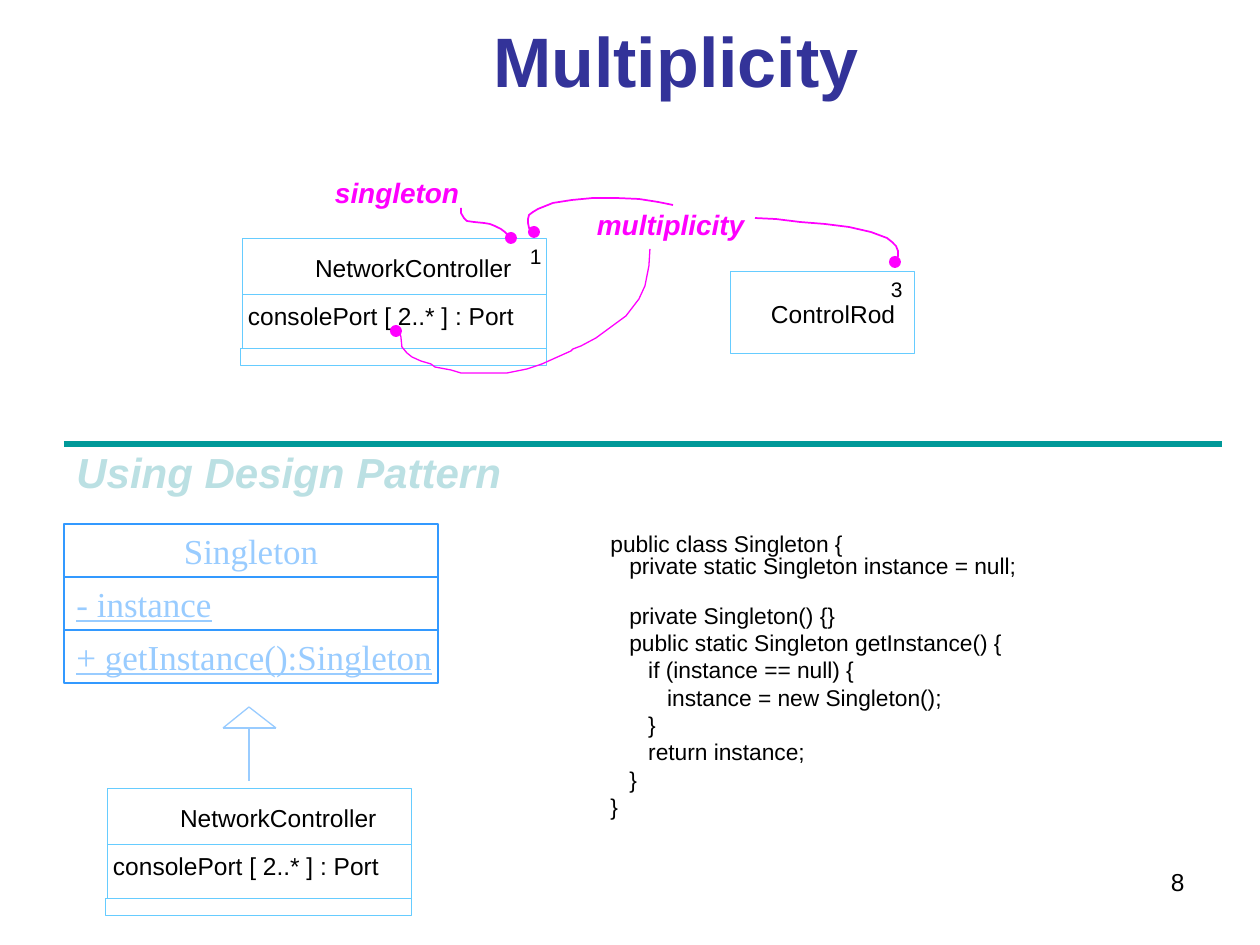
from lxml.etree import SubElement
from pptx import Presentation
from pptx.dml.color import RGBColor
from pptx.enum.shapes import MSO_CONNECTOR, MSO_SHAPE
from pptx.enum.text import MSO_ANCHOR, MSO_AUTO_SIZE, PP_ALIGN
from pptx.oxml.ns import qn
from pptx.util import Emu, Pt

SCALE = 914400 / 126
COLORS = {
    "text": "000000", "title": "333399", "box": "66CCFF", "white": "FFFFFF",
    "accent": "FF00FF", "pattern": "99CCFF", "pattern_line": "3399FF",
    "rule": "009999", "subtitle": "BBE0E3",
}
CODE = [
    ("public class Singleton {", 0.8, 0),
    ("   private static Singleton instance = null;", 0.8, 0),
    ("   private Singleton() {}", 0.8, 16),
    ("   public static Singleton getInstance() {", 1.0, 0),
    ("      if (instance == null) {", 1.0, 0),
    ("         instance = new Singleton();", 1.0, 0),
    ("      }", 1.0, 0),
    ("      return instance;", 1.0, 0),
    ("   }", 1.0, 0),
    ("}", 1.0, 0),
]
CALLOUTS = [
    ([(755, 218), (776, 219), (800, 222), (825, 224), (849, 227), (871, 232), (887, 238),
      (892, 242), (896, 246), (898, 251), (898, 256), (895, 262)], (895, 262), 1),
    ([(673, 205), (658, 202), (639, 199), (616, 198), (593, 198), (572, 200), (553, 203),
      (538, 209), (533, 212), (529, 215), (528, 219), (528, 223), (529, 228), (534, 232)],
     (534, 232), 1),
    ([(461, 208), (461, 213), (464, 218), (467, 221), (474, 222), (484, 223), (490, 224),
      (495, 226), (501, 229), (505, 232), (509, 236), (512, 238)], (511, 238), 1),
    ([(398, 326), (401, 337), (402, 347), (407, 353), (412, 357), (421, 361), (431, 364),
      (435, 367), (451, 370), (461, 373), (507, 373), (527, 369), (542, 364), (571, 351),
      (573, 349), (581, 346), (596, 338), (626, 316), (639, 299), (645, 286), (649, 266),
      (650, 249)], (396, 331), 0.75),
]


def px(n):
    return Emu(round(n * SCALE))


def rgb(name):
    return RGBColor.from_string(COLORS[name])


class Diagram:
    """Draws styled diagram elements on one slide."""

    def __init__(self, slide):
        self.slide = slide
        self.shapes = slide.shapes

    def format(self, tf, size, color="text", font="Arial", align=PP_ALIGN.LEFT,
               bold=False, italic=False, underline=False):
        for p in tf.paragraphs:
            p.alignment = align
            for r in p.runs:
                f = r.font
                f.size, f.name, f.bold, f.italic = Pt(size), font, bold, italic
                f.underline = underline
                f.color.rgb = rgb(color)

    def title(self, text, x, y, w, h):
        sp = self.shapes.title
        sp.left, sp.top, sp.width, sp.height = map(px, (x, y, w, h))
        tf = sp.text_frame
        tf.text = text
        tf.auto_size = MSO_AUTO_SIZE.NONE
        tf.vertical_anchor = MSO_ANCHOR.TOP
        tf.margin_top = px(6)
        tf.margin_bottom = 0
        self.format(tf, 40, "title", align=PP_ALIGN.CENTER, bold=True)

    def text(self, text, x, y, w, h, size, inset=False, wrap=False, **style):
        tf = self.shapes.add_textbox(*map(px, (x, y, w, h))).text_frame
        tf.text = text
        tf.word_wrap = wrap
        tf.auto_size = MSO_AUTO_SIZE.NONE if wrap else MSO_AUTO_SIZE.SHAPE_TO_FIT_TEXT
        if not inset:
            tf.margin_left = tf.margin_top = tf.margin_right = tf.margin_bottom = 0
        self.format(tf, size, **style)
        return tf

    def shape(self, x, y, w, h, fill=None, line=None, width=0.37, kind=MSO_SHAPE.RECTANGLE):
        sp = self.shapes.add_shape(kind, *map(px, (x, y, w, h)))
        self.paint(sp, fill, line, width)
        return sp

    def paint(self, sp, fill, line, width):
        sp.shadow.inherit = False
        if fill:
            sp.fill.solid()
            sp.fill.fore_color.rgb = rgb(fill)
        else:
            sp.fill.background()
        if line:
            sp.line.color.rgb = rgb(line)
            sp.line.width = Pt(width)
        else:
            sp.line.fill.background()

    def line(self, x1, y1, x2, y2, color, width):
        cn = self.shapes.add_connector(MSO_CONNECTOR.STRAIGHT, *map(px, (x1, y1, x2, y2)))
        cn.line.color.rgb = rgb(color)
        cn.line.width = Pt(width)
        SubElement(cn._element.spPr, qn("a:effectLst"))

    def callout(self, points, dot, width):
        fb = self.shapes.build_freeform(*points[0], scale=SCALE)
        fb.add_line_segments(points[1:], close=False)
        self.paint(fb.convert_to_shape(), None, "accent", width)
        x, y = dot
        self.shape(x - 6, y - 6, 12, 12, "accent", kind=MSO_SHAPE.OVAL)

    def controller(self, x, y):
        for dx, dy, w, h in [(-2, 110, 306, 17), (0, 56, 304, 54), (0, 0, 304, 56)]:
            self.shape(x + dx, y + dy, w, h, "white", "box")
        self.text("consolePort [ 2..* ] : Port", x + 6, y + 63, 290, 29, 14)
        self.text("NetworkController", x + 73, y + 15, 210, 29, 14)

    def pattern_row(self, text, y, **style):
        tf = self.shape(64, y, 374, 53, line="pattern_line", width=0.75).text_frame
        tf.text = text
        tf.word_wrap = False
        tf.vertical_anchor = MSO_ANCHOR.MIDDLE
        self.format(tf, 20, "pattern", "Times New Roman", **style)

    def code(self, lines, x, y, w, h):
        tf = self.text("\n".join(text for text, _, _ in lines), x, y, w, h, 13, inset=True)
        for p, (_, spacing, before) in zip(tf.paragraphs, lines):
            p.line_spacing = spacing
            p.space_before = Pt(before)


def main():
    prs = Presentation()
    prs.slide_width, prs.slide_height = px(1260), px(945)
    d = Diagram(prs.slides.add_slide(prs.slide_layouts[5]))

    d.title("Multiplicity", 130, 11, 1092, 90)
    d.controller(242, 238)
    d.text("1", 530, 244, 14, 25, 12)
    d.shape(730, 271, 184, 82, "white", "box")
    d.text("ControlRod", 771, 299, 135, 29, 14)
    d.text("3", 891, 277, 14, 25, 12)
    label = {"color": "accent", "bold": True, "italic": True}
    d.text("singleton", 335, 176, 135, 34, 16, **label)
    d.text("multiplicity", 597, 208, 165, 34, 16, **label)
    for points, dot, width in CALLOUTS:
        d.callout(points, dot, width)

    d.line(64, 444, 1222, 444, "rule", 3)
    d.text("Using Design Pattern", 64, 440, 464, 60, 24, inset=True, wrap=True,
           color="subtitle", bold=True, italic=True)
    d.pattern_row("Singleton", 524, align=PP_ALIGN.CENTER)
    d.pattern_row("- instance", 577, underline=True)
    d.pattern_row("+ getInstance():Singleton", 630, underline=True)
    for ends in [(249, 781, 249, 728), (223, 728, 276, 728),
                 (276, 728, 249, 707), (223, 728, 249, 707)]:
        d.line(*ends, "pattern", 0.75)
    d.controller(107, 788)
    d.code(CODE, 598, 529, 450, 297)
    d.text("8", 903, 861, 294, 66, 14, inset=True, wrap=True, align=PP_ALIGN.RIGHT)
    prs.save("out.pptx")


if __name__ == "__main__":
    main()
